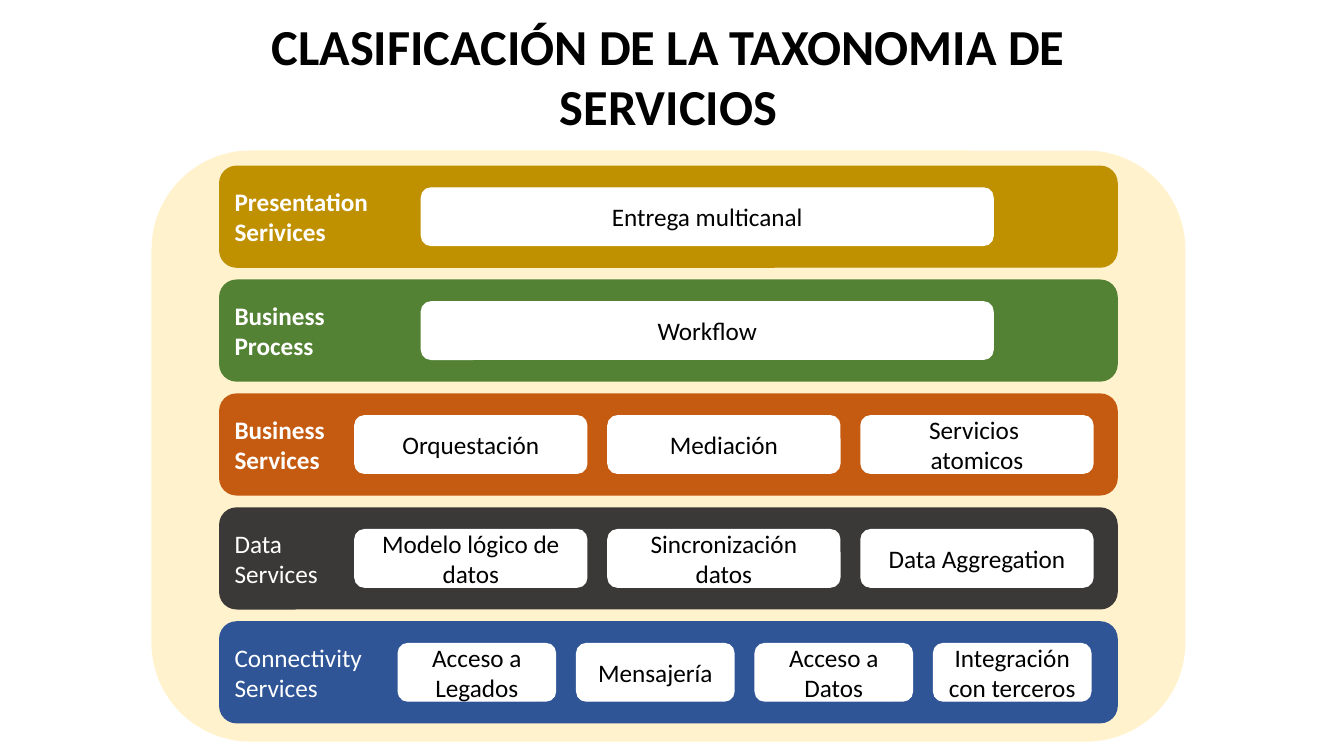
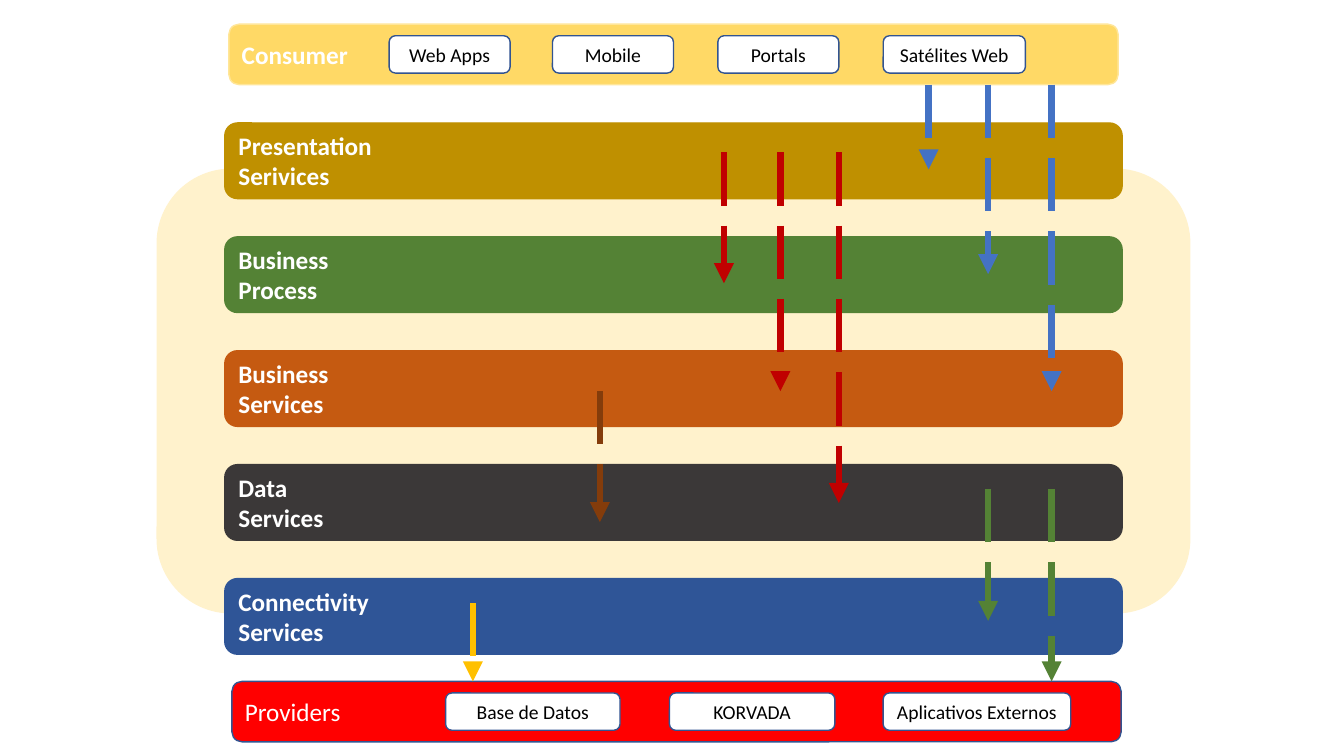
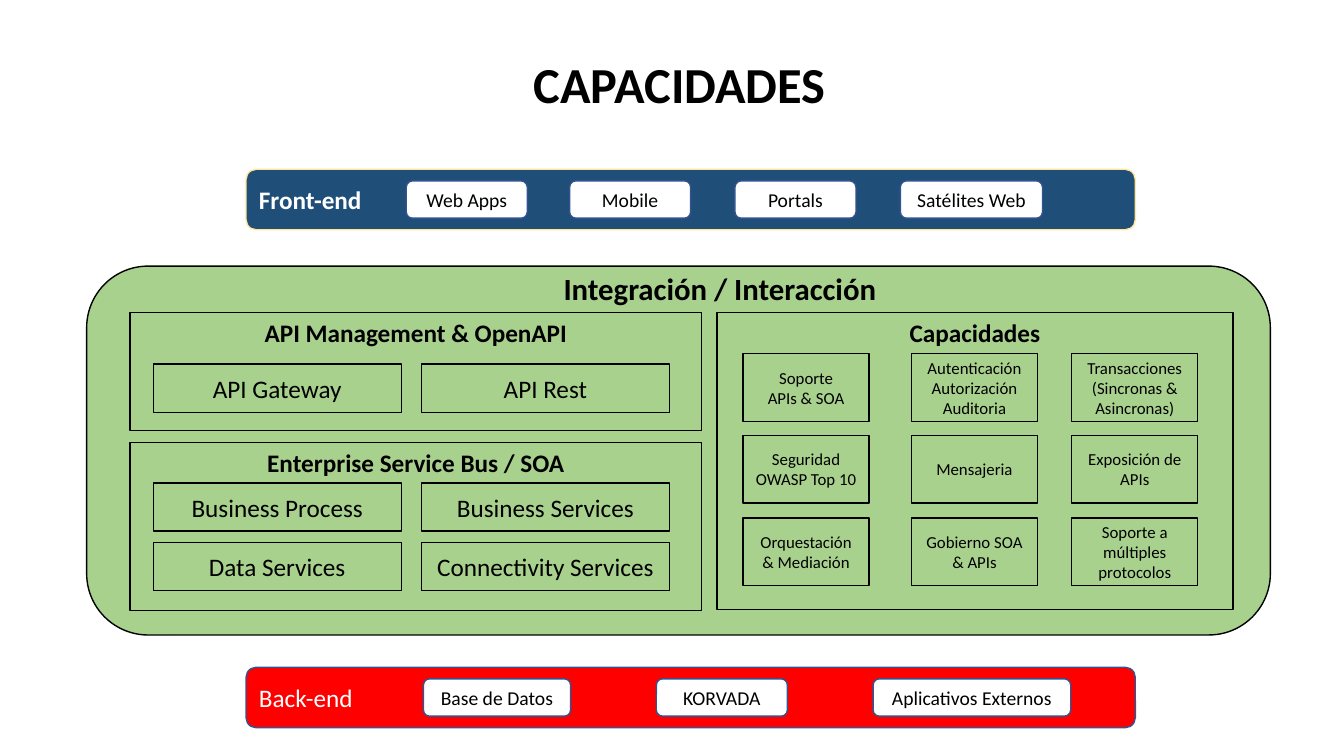
from lxml import etree
from pptx import Presentation
from pptx.dml.color import RGBColor
from pptx.enum import dml, shapes, text
from pptx.oxml.ns import qn
from pptx.util import Inches, Pt

FONT = "Calibri"
BLACK, WHITE = "000000", "FFFFFF"
CREAM, GREEN = "FFF2CC", "A9D18E"
CHIP_LINE, PALE_YELLOW, RED = "325491", "FFE699", "FF0000"

LAYERS = [
    ("Presentation\nSerivices", "BF9000"),
    ("Business\nProcess", "548235"),
    ("Business\nServices", "C55A11"),
    ("Data\nServices", "3B3838"),
    ("Connectivity\nServices", "2F5597"),
]
LAYER_WIDTH, LAYER_PITCH = 8.9, 1.13

# For each layer: first left edge, box width, pitch, labels
TAXONOMY = [
    (4.18, 5.67, 0, ["Entrega multicanal"]),
    (4.18, 5.67, 0, ["Workflow"]),
    (3.52, 2.3, 2.51, ["Orquestación", "Mediación", "Servicios \natomicos"]),
    (3.52, 2.3, 2.51, ["Modelo lógico de datos", "Sincronización datos", "Data Aggregation"]),
    (3.95, 1.56, 1.77, ["Acceso a Legados", "Mensajería", "Acceso a Datos",
                        "Integración con terceros"]),
]
SERVICE_HEIGHT = 0.57

# Chips: label, offset from the left of the band, width
CHANNELS = [("Web Apps", 1.59, 1.2), ("Mobile", 3.21, 1.2),
            ("Portals", 4.85, 1.2), ("Satélites Web", 6.49, 1.41)]
PROVIDERS = [("Base de Datos", 2.12, 1.73), ("KORVADA", 4.34, 1.64),
             ("Aplicativos Externos", 6.46, 1.86)]
BACK_END = [("Base de Datos", 1.76, 1.46), ("KORVADA", 4.07, 1.3),
            ("Aplicativos Externos", 6.22, 1.96)]
BAND_WIDTH, BAND_HEIGHT, CHIP_HEIGHT = 8.82, 0.6, 0.37

# Arrows: colour, top, (x, bottom) of each
CALLS = [
    ("4472C4", 0.84, [(9.21, 1.68), (9.8, 2.72), (10.43, 3.88)]),
    ("C00000", 1.51, [(7.18, 2.81), (7.74, 3.88), (8.32, 4.99)]),
    ("843C0B", 3.88, [(5.95, 5.18)]),
    ("548235", 4.85, [(9.8, 6.16), (10.43, 6.76)]),
    ("FFC000", 5.98, [(4.69, 6.76)]),
]

PANELS = [
    ("API Management & OpenAPI", (1.29, 3.1, 5.67, 1.17)),
    ("Enterprise Service Bus / SOA", (1.29, 4.39, 5.67, 1.67)),
    ("Capacidades", (7.11, 3.1, 5.12, 2.95)),
]
COMPONENT_COLUMNS = (1.52, 4.18)
COMPONENT_ROWS = [
    (3.61, ["API Gateway", "API Rest"]),
    (4.79, ["Business Process", "Business Services"]),
    (5.38, ["Data Services", "Connectivity Services"]),
]
CAPABILITY_COLUMNS = (7.37, 9.04, 10.63)
CAPABILITY_ROWS = [
    (3.51, ["Soporte\nAPIs & SOA", "Autenticación\nAutorización\nAuditoria",
            "Transacciones (Sincronas & Asincronas)"]),
    (4.32, ["Seguridad\nOWASP Top 10", "Mensajeria", "Exposición de APIs"]),
    (5.14, ["Orquestación & Mediación", "Gobierno SOA & APIs",
            "Soporte a múltiples protocolos"]),
]


def rgb(colour):
    return RGBColor.from_string(colour)


def write(shape, content, size, colour, bold, align, anchor, wrap=True):
    frame = shape.text_frame
    frame.text = content
    frame.word_wrap = wrap
    frame.vertical_anchor = anchor
    for paragraph in frame.paragraphs:
        paragraph.alignment = align
        font = paragraph.font
        font.name, font.size, font.bold = FONT, Pt(size), bold
        font.color.rgb = rgb(colour)


def add_heading(slide, content, place, size=36, wrap=False):
    heading = slide.shapes.add_textbox(*map(Inches, place))
    write(heading, content, size, BLACK, True, text.PP_ALIGN.CENTER,
          text.MSO_ANCHOR.TOP, wrap)


def add_box(slide, place, fill, line, content="", size=18, colour=BLACK, bold=False,
            align=text.PP_ALIGN.CENTER, anchor=text.MSO_ANCHOR.MIDDLE, rounded=True):
    """Add a box; a fill of None leaves it see-through."""
    kind = shapes.MSO_SHAPE.ROUNDED_RECTANGLE if rounded else shapes.MSO_SHAPE.RECTANGLE
    box = slide.shapes.add_shape(kind, *map(Inches, place))
    box.shadow.inherit = False
    if fill:
        box.fill.solid()
        box.fill.fore_color.rgb = rgb(fill)
    else:
        box.fill.background()
    box.line.color.rgb = rgb(line)
    box.line.width = Pt(1)
    if content:
        write(box, content, size, colour, bold, align, anchor)


def add_layers(slide, left, top, height, bold_count):
    """Stack the layers, the first bold_count labels in bold."""
    for index, (label, colour) in enumerate(LAYERS):
        add_box(slide, (left, top + index * LAYER_PITCH, LAYER_WIDTH, height), colour, colour,
                label, colour=WHITE, bold=index < bold_count, align=text.PP_ALIGN.LEFT)


def add_band(slide, left, top, label, fill, line, bold, chips):
    add_box(slide, (left, top, BAND_WIDTH, BAND_HEIGHT), fill, line, label,
            colour=WHITE, bold=bold, align=text.PP_ALIGN.LEFT)
    chip_top = top + (BAND_HEIGHT - CHIP_HEIGHT) / 2
    for chip, offset, width in chips:
        add_box(slide, (left + offset, chip_top, width, CHIP_HEIGHT), WHITE, CHIP_LINE,
                chip, size=14)


def add_down_arrow(slide, x, top, bottom, colour):
    arrow = slide.shapes.add_connector(shapes.MSO_CONNECTOR.STRAIGHT, Inches(x), Inches(top),
                                       Inches(x), Inches(bottom))
    arrow.line.color.rgb = rgb(colour)
    arrow.line.width = Pt(4.75)
    arrow.line.dash_style = dml.MSO_LINE.LONG_DASH
    properties = arrow._element.spPr
    etree.SubElement(properties.find(qn("a:ln")), qn("a:tailEnd"), type="triangle")
    etree.SubElement(properties, qn("a:effectLst"))


def add_grid(slide, columns, rows, width, height, size):
    for top, labels in rows:
        for left, label in zip(columns, labels):
            add_box(slide, (left, top, width, height), None, BLACK, label, size, rounded=False)


def build_taxonomy(slide):
    add_heading(slide, "CLASIFICACIÓN DE LA TAXONOMIA DE SERVICIOS",
                (2.31, 0.1, 8.64, 1.31), wrap=True)
    add_box(slide, (1.51, 1.5, 10.24, 5.85), CREAM, CREAM)
    top, height = 1.65, 1
    add_layers(slide, 2.18, top, height, bold_count=3)
    for index, (left, width, pitch, labels) in enumerate(TAXONOMY):
        service_top = top + index * LAYER_PITCH + (height - SERVICE_HEIGHT) / 2
        for column, label in enumerate(labels):
            add_box(slide, (left + column * pitch, service_top, width, SERVICE_HEIGHT),
                    WHITE, WHITE, label)


def build_calls(slide):
    add_box(slide, (1.56, 1.68, 10.24, 4.4), CREAM, CREAM)
    add_layers(slide, 2.23, 1.22, 0.75, bold_count=len(LAYERS))
    add_band(slide, 2.27, 0.24, "Consumer", "FFD966", PALE_YELLOW, True, CHANNELS)
    add_band(slide, 2.3, 6.76, "Providers", RED, CHIP_LINE, False, PROVIDERS)
    for colour, top, arrows in CALLS:
        for x, bottom in arrows:
            add_down_arrow(slide, x, top, bottom, colour)


def build_capabilities(slide):
    add_heading(slide, "CAPACIDADES", (5.12, 0.48, 3.24, 0.71))
    add_box(slide, (0.86, 2.64, 11.74, 3.66), GREEN, BLACK)
    for title, place in PANELS:
        add_box(slide, place, None, BLACK, title, bold=True,
                anchor=text.MSO_ANCHOR.TOP, rounded=False)
    add_grid(slide, COMPONENT_COLUMNS, COMPONENT_ROWS, 2.46, 0.48, 18)
    add_grid(slide, CAPABILITY_COLUMNS, CAPABILITY_ROWS, 1.25, 0.67, 12)
    add_band(slide, 2.44, 1.68, "Front-end", "1F4E79", PALE_YELLOW, True, CHANNELS)
    add_band(slide, 2.44, 6.62, "Back-end", RED, CHIP_LINE, False, BACK_END)
    add_heading(slide, "Integración / Interacción", (5.47, 2.63, 3.34, 0.47), size=22)


def main():
    presentation = Presentation()
    presentation.slide_width, presentation.slide_height = Inches(13.33), Inches(7.5)
    blank = presentation.slide_layouts[6]
    for build in (build_taxonomy, build_calls, build_capabilities):
        build(presentation.slides.add_slide(blank))
    presentation.save("out.pptx")


if __name__ == "__main__":
    main()
